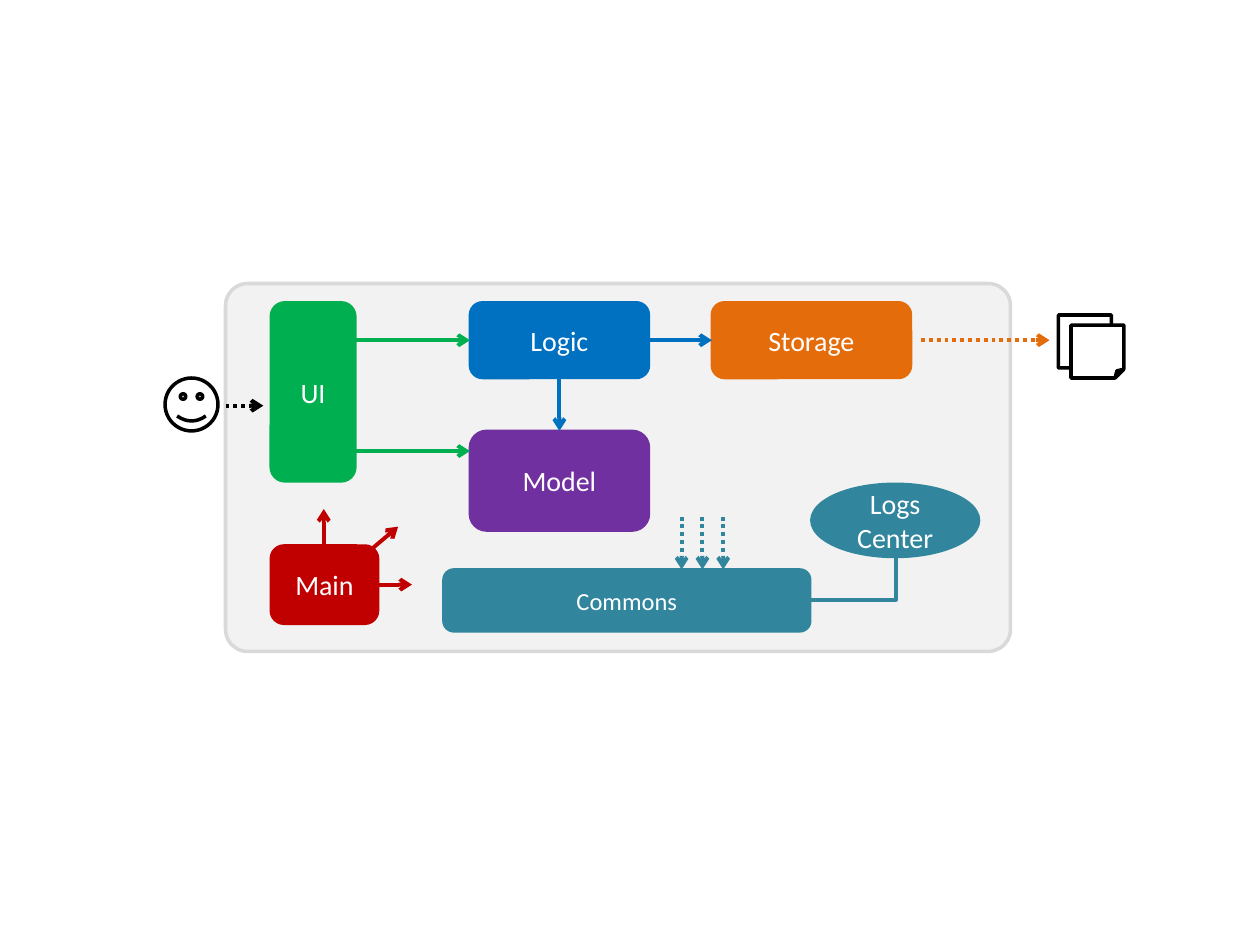
from dataclasses import dataclass

from lxml.etree import SubElement
from pptx import Presentation
from pptx.dml.color import RGBColor
from pptx.enum.dml import MSO_LINE
from pptx.enum.shapes import MSO_CONNECTOR, MSO_SHAPE
from pptx.enum.text import MSO_ANCHOR, PP_ALIGN
from pptx.oxml.ns import qn
from pptx.util import Inches, Pt


@dataclass(frozen=True)
class Theme:
    font: str = "Calibri"
    text_size: float = 16
    small_size: float = 14
    box_line: float = 1.5
    outline: float = 2
    arrow_line: float = 2.25
    white: str = "FFFFFF"
    black: str = "000000"
    panel: str = "F2F2F2"
    panel_edge: str = "D9D9D9"
    ui: str = "00B050"
    logic: str = "0070C0"
    storage: str = "E46C0A"
    model: str = "7030A0"
    commons: str = "31859C"
    main: str = "C00000"


class Diagram:
    """Draws on a page with a grid of 100 columns by 75 rows."""

    def __init__(self, deck, page, theme):
        self.page, self.theme = page, theme
        self.column = deck.slide_width / 100
        self.row = deck.slide_height / 75

    def place(self, x, y):
        return round(x * self.column), round(y * self.row)

    def shape(self, kind, area, fill, edge, width, corner=None):
        left, top, wide, high = area
        shape = self.page.shapes.add_shape(
            kind, *self.place(left, top), *self.place(wide, high))
        shape.shadow.inherit = False
        shape.fill.solid()
        shape.fill.fore_color.rgb = RGBColor.from_string(fill)
        shape.line.color.rgb = RGBColor.from_string(edge)
        shape.line.width = Pt(width)
        if corner is not None:
            shape.adjustments[0] = corner
        return shape

    def component(self, label, area, color, kind=MSO_SHAPE.ROUNDED_RECTANGLE, size=None):
        box = self.shape(kind, area, color, color, self.theme.box_line)
        frame = box.text_frame
        frame.word_wrap = True
        frame.vertical_anchor = MSO_ANCHOR.MIDDLE
        para = frame.paragraphs[0]
        para.text = label
        para.alignment = PP_ALIGN.CENTER
        para.font.name = self.theme.font
        para.font.size = Pt(size or self.theme.text_size)
        para.font.color.rgb = RGBColor.from_string(self.theme.white)

    def icon(self, kind, area):
        self.shape(kind, area, self.theme.white, self.theme.black, self.theme.outline)

    def link(self, start, end, color, kind=MSO_CONNECTOR.STRAIGHT):
        link = self.page.shapes.add_connector(kind, *self.place(*start), *self.place(*end))
        link.line.color.rgb = RGBColor.from_string(color)
        link.line.width = Pt(self.theme.arrow_line)
        SubElement(link.element.spPr, qn("a:effectLst"))
        return link

    def arrow(self, start, end, color, dotted=False):
        arrow = self.link(start, end, color)
        if dotted:
            arrow.line.dash_style = MSO_LINE.ROUND_DOT
        SubElement(arrow.line._get_or_add_ln(), qn("a:tailEnd"), type="arrow")

    def corner_link(self, start, end, color):
        link = self.link(start, end, color, MSO_CONNECTOR.ELBOW)
        link.element.spPr.find(qn("a:prstGeom")).set("prst", "bentConnector2")


deck = Presentation()
deck.slide_width, deck.slide_height = Inches(10), Inches(7.5)
page = deck.slides.add_slide(deck.slide_layouts[6])
theme = Theme()
diagram = Diagram(deck, page, theme)

# System boundary
diagram.shape(MSO_SHAPE.ROUNDED_RECTANGLE, (17.9, 22.5, 62.3, 29.2),
              theme.panel, theme.panel_edge, theme.outline, corner=0.06)

# Components
TOP, FLOW, MIDDLE = 24, 27, 44.4
diagram.component("UI", (21.5, TOP, 6.7, 14.2), theme.ui)
diagram.component("Logic", (37.3, TOP, 14.2, 6), theme.logic)
diagram.component("Storage", (56.5, TOP, 15.8, 6), theme.storage)
diagram.component("Model", (37.3, 34.2, 14.2, 7.9), theme.model)
diagram.component("Commons", (35.2, 45.2, 29.1, 4.9), theme.commons,
                  size=theme.small_size)

# Calls between components
for level in (FLOW, 35.8):
    diagram.arrow((28.1, level), (37.3, level), theme.ui)
diagram.arrow((MIDDLE, 30), (MIDDLE, 34.2), theme.logic)
diagram.arrow((51.5, FLOW), (56.5, FLOW), theme.logic)

# User and stored files
diagram.icon(MSO_SHAPE.SMILEY_FACE, (13.1, 30, 4.2, 4.2))
diagram.arrow((17.9, 32.2), (20.9, 32.2), theme.black, dotted=True)
diagram.arrow((73.1, FLOW), (83.3, FLOW), theme.storage, dotted=True)
for left, top in ((84, 25), (85, 25.8)):
    diagram.icon(MSO_SHAPE.FOLDED_CORNER, (left, top, 4.2, 4.2))

# Main and the parts it starts
diagram.component("Main", (21.5, 43.3, 8.5, 6.2), theme.main)
for start, end in (((30, 46.4), (32.7, 46.4)),
                   ((28.4, 44.5), (31.6, 41.8)),
                   ((25.7, 43.7), (25.7, 40.4))):
    diagram.arrow(start, end, theme.main)

# Shared use of Commons
for step in range(3):
    x = 54.1 + 1.65 * step
    diagram.arrow((x, 41), (x, 45.2), theme.commons, dotted=True)

# Logging
diagram.component("Logs\nCenter", (64.4, 38.4, 13.3, 5.8), theme.commons,
                  kind=MSO_SHAPE.OVAL)
diagram.corner_link((64.3, 47.6), (71.1, 44.3), theme.commons)

deck.save("out.pptx")
